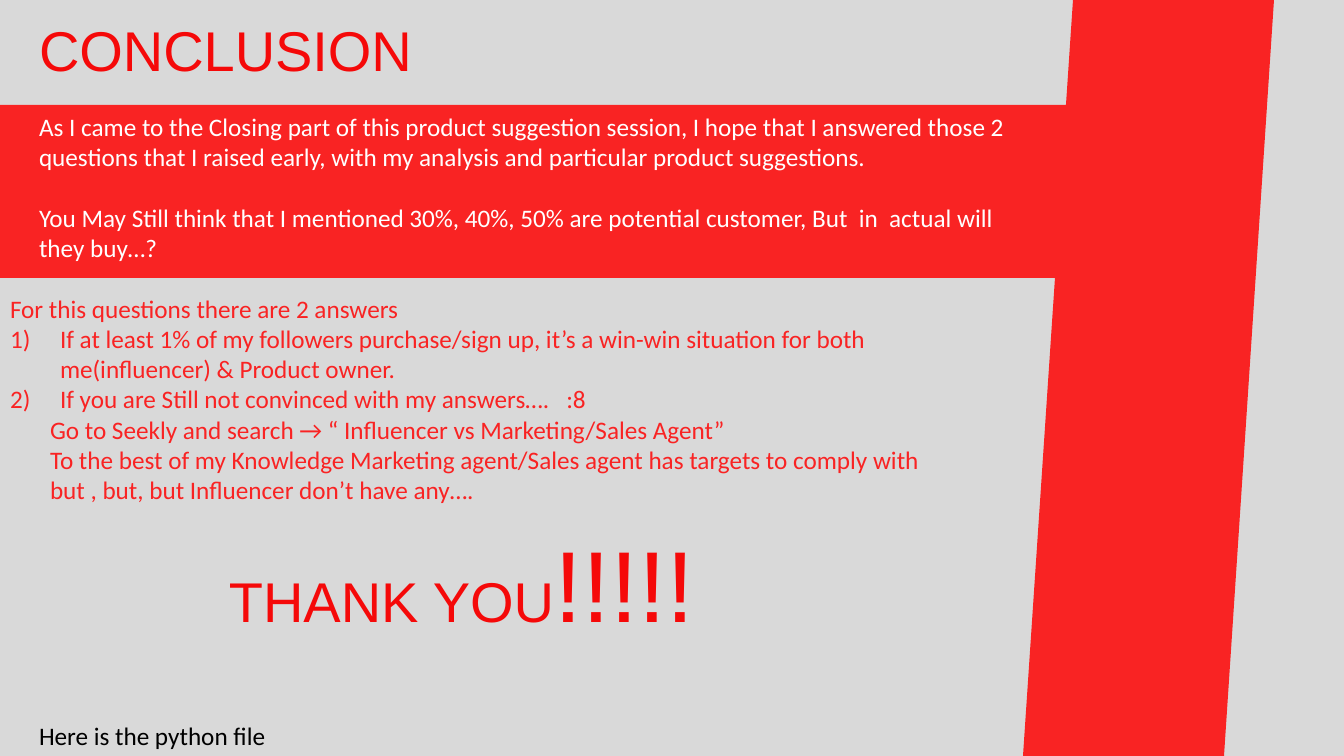
from lxml import etree
from pptx import Presentation
from pptx.dml.color import RGBColor
from pptx.enum.shapes import MSO_SHAPE
from pptx.enum.text import MSO_ANCHOR, MSO_AUTO_SIZE, PP_ALIGN
from pptx.oxml.ns import qn
from pptx.util import Pt

PX = 914400 / 100.8
WIDTH, HEIGHT = 1344, 756
RECTANGLE = MSO_SHAPE.RECTANGLE
TOP = MSO_ANCHOR.TOP
LEFT = PP_ALIGN.LEFT
NO_AUTOFIT = MSO_AUTO_SIZE.NONE

COLORS = {
    "grey": "D9D9D9",
    "red": "F92323",
    "heading": "F50909",
    "white": "FFFFFF",
    "black": "000000",
}


def px(n):
    return round(n * PX)


def rgb(name):
    return RGBColor.from_string(COLORS[name])


class SlideBuilder:
    heading_font = "Arial"
    body_font = "Calibri"

    def __init__(self, slide):
        self.slide = slide
        self.shapes = slide.shapes

    def paint(self, sp, color):
        sp.fill.solid()
        sp.fill.fore_color.rgb = rgb(color)
        sp.line.fill.background()
        sp.shadow.inherit = False

    def rectangle(self, box, color):
        self.paint(self.shapes.add_shape(RECTANGLE, *map(px, box)), color)

    def outline(self, points, color):
        builder = self.shapes.build_freeform(*points[0], scale=PX)
        builder.add_line_segments(points[1:], close=True)
        self.paint(builder.convert_to_shape(), color)

    def placeholder(self, sp, box):
        """Place a template placeholder in front of the shapes drawn so far."""
        sp.left, sp.top, sp.width, sp.height = map(px, box)
        sp.element.getparent().append(sp.element)
        return sp

    def textbox(self, box):
        return self.shapes.add_textbox(*map(px, box))

    def set_text(self, sp, lines, color, size=18, font=body_font, gap=0):
        tf = sp.text_frame
        tf.word_wrap = True
        tf.auto_size = NO_AUTOFIT
        tf.vertical_anchor = TOP
        tf.margin_left = tf.margin_right = px(10)
        tf.margin_top = tf.margin_bottom = px(5)
        tf.text = "\n".join(lines)
        for i, p in enumerate(tf.paragraphs):
            p.alignment = LEFT
            p.space_before = Pt(gap if i else 0)
            for r in p.runs:
                self.style(r, color, size, font)
        return tf

    def style(self, r, color, size, font):
        r.font.name = font
        r.font.size = Pt(size)
        r.font.color.rgb = rgb(color)

    def indent(self, p, margin, first=0, numbered=False):
        pPr = p._p.get_or_add_pPr()
        pPr.set("marL", str(px(margin)))
        pPr.set("indent", str(px(first)))
        if numbered:
            etree.SubElement(pPr, qn("a:buFont"), typeface="+mj-lt")
            etree.SubElement(pPr, qn("a:buAutoNum"), type="arabicParenR")
        else:
            etree.SubElement(pPr, qn("a:buNone"))


def main():
    prs = Presentation()
    prs.slide_width, prs.slide_height = px(WIDTH), px(HEIGHT)
    s = SlideBuilder(prs.slides.add_slide(prs.slide_layouts[1]))
    title, body = s.slide.placeholders

    s.rectangle((0, 0, WIDTH, HEIGHT), "grey")
    s.outline([(1073, 0), (1274, 0), (1224, HEIGHT), (1023, HEIGHT),
               (1055, 278), (0, 278), (0, 105), (1066, 105)], "red")

    s.placeholder(body, (0, 288, 1028, 224))
    answers = s.set_text(body, [
        "For this questions there are 2 answers",
        "If at least 1% of my followers purchase/sign up, it’s a win-win "
        "situation for both me(influencer) & Product owner.",
        "If you are Still not convinced with my answers….   :8",
        "Go to Seekly and search → “ Influencer vs Marketing/Sales Agent”",
        "To the best of my Knowledge Marketing agent/Sales agent has targets "
        "to comply with",
        "but , but, but Influencer don’t have any….",
    ], "red")
    intro, *rest = answers.paragraphs
    s.indent(intro, 0)
    for p in rest[:2]:
        s.indent(p, 50, -50, numbered=True)
    for p in rest[2:]:
        s.indent(p, 40)

    s.placeholder(title, (29, 11, 524, 78))
    s.set_text(title, ["CONCLUSION"], "heading", 40, s.heading_font)

    s.set_text(s.textbox((29, 106, 997, 163)), [
        "As I came to the Closing part of this product suggestion session, "
        "I hope that I answered those 2 questions that I raised early, with "
        "my analysis and particular product suggestions.",
        "You May Still think that I mentioned 30%, 40%, 50% are potential "
        "customer, But  in  actual will they buy…?",
    ], "white", gap=22)

    thanks = s.set_text(s.textbox((219, 517, 591, 132)), ["THANK YOU"],
                        "heading", 40, s.heading_font)
    r = thanks.paragraphs[0].add_run()
    r.text = "!!!!!"
    s.style(r, "heading", 72, s.heading_font)

    s.set_text(s.textbox((29, 715, 278, 40)), ["Here is the python file"],
               "black")

    prs.save("out.pptx")


if __name__ == "__main__":
    main()
